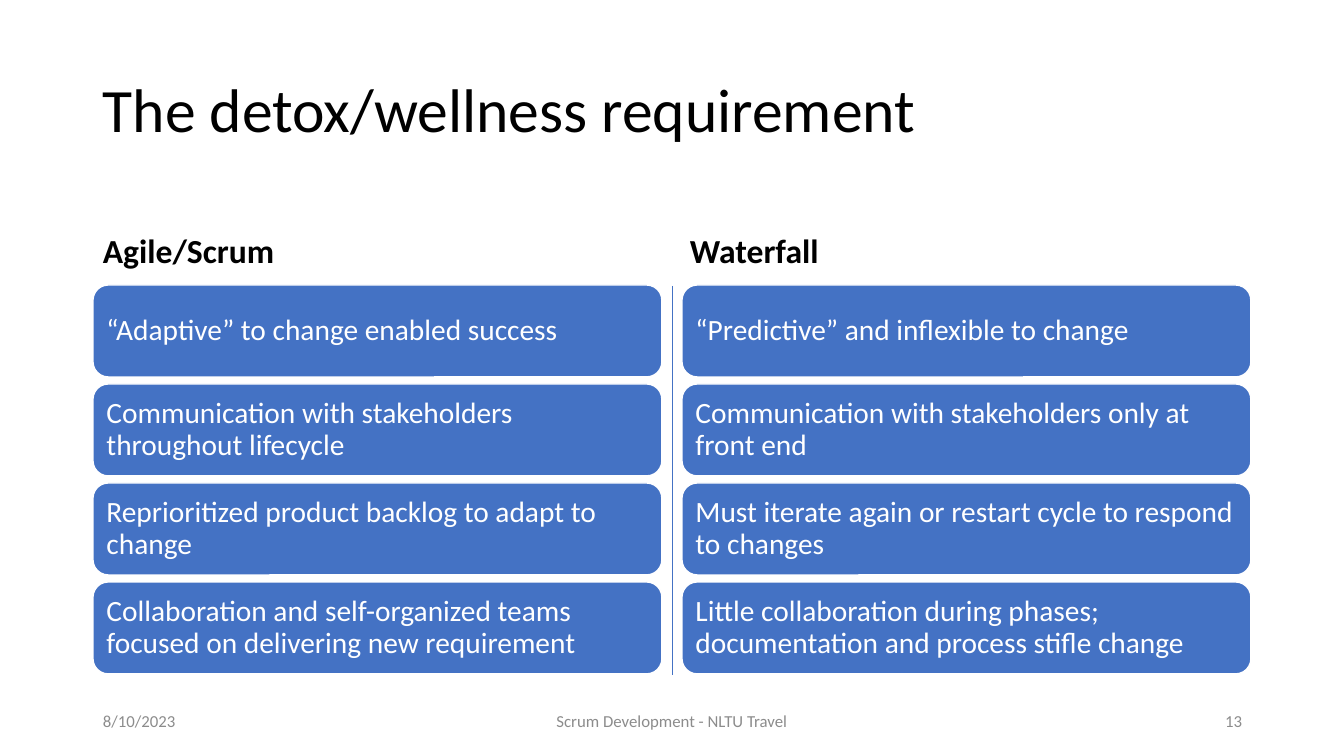
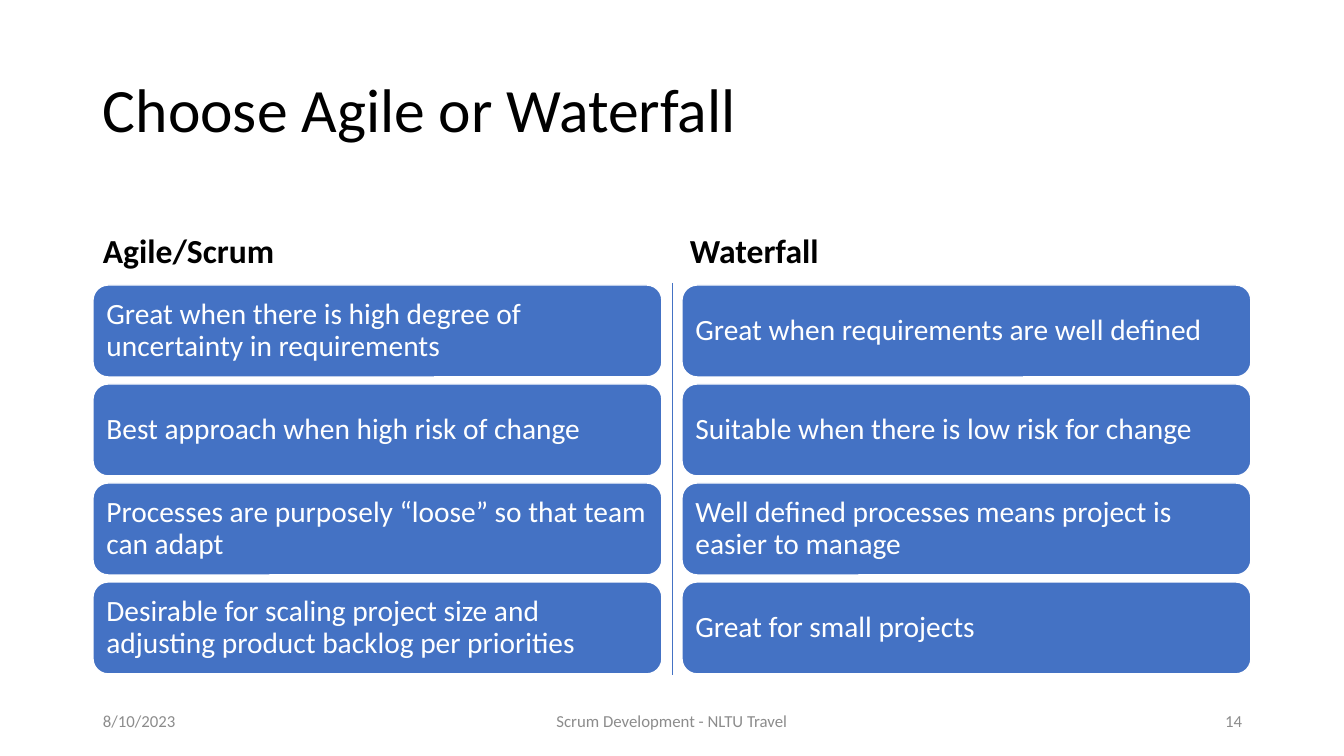
from pptx import Presentation
from pptx import util as u
from pptx.dml import color
from pptx.enum import shapes, text
from pptx.oxml import ns
from lxml import etree

SCALE = 914400 / 100.8
LEFT, RIGHT = 93, 1252
CARD_LEFTS = (LEFT, 682)
CARD_TOP, CARD_WIDTH, CARD_HEIGHT, CARD_PITCH = 285, 569, 92, 99
HEADINGS = (("Agile/Scrum", LEFT, 569), ("Waterfall", 680, 572))
FOOTER_TOP, FOOTER_HEIGHT = 701, 40
DATE = "8/10/2023"
FOOTER = "Scrum Development - NLTU Travel"


def px(value):
    return u.Emu(round(value * SCALE))


def rgb(code):
    return color.RGBColor.from_string(code)


def write(shape, words, size, ink, bold=False, align="LEFT", anchor="MIDDLE",
          spacing=1.0, before=0, inset=None):
    frame = shape.text_frame
    frame.word_wrap = True
    frame.vertical_anchor = text.MSO_ANCHOR[anchor]
    if inset is not None:
        frame.margin_left = frame.margin_right = px(inset)
        frame.margin_top = frame.margin_bottom = px(inset)
    para = frame.paragraphs[0]
    para.alignment = text.PP_ALIGN[align]
    para.line_spacing = spacing
    para.space_before = u.Pt(before)
    span = para.add_run()
    span.text = words
    span.font.name = "Calibri"
    span.font.size = u.Pt(size)
    span.font.bold = bold
    span.font.color.rgb = rgb(ink)


class Comparison:
    accent, ink, paper, muted = "4472C4", "000000", "FFFFFF", "8C8C8C"

    def __init__(self, deck):
        self.deck = deck
        self.page = None

    def start(self, title, number):
        self.page = self.deck.slides.add_slide(self.deck.slide_layouts[6])
        self.label(LEFT, 40, RIGHT - LEFT, 146, title, size=44, ink=self.ink, spacing=0.9)
        for words, left, width in HEADINGS:
            self.label(left, 185, width, 91, words, size=24, ink=self.ink, bold=True,
                       anchor="BOTTOM", spacing=0.9, before=10)
        for words, left, width, align in ((DATE, LEFT, 302, "LEFT"),
                                          (FOOTER, 445, 454, "CENTER"),
                                          (str(number), 950, 302, "RIGHT")):
            self.label(left, FOOTER_TOP, width, FOOTER_HEIGHT, words, size=12,
                       ink=self.muted, align=align)

    def label(self, left, top, width, height, words, **style):
        box = self.page.shapes.add_textbox(px(left), px(top), px(width), px(height))
        write(box, words, **style)

    def card(self, left, top, words):
        card = self.page.shapes.add_shape(
            shapes.MSO_SHAPE.ROUNDED_RECTANGLE,
            px(left), px(top), px(CARD_WIDTH), px(CARD_HEIGHT))
        card.shadow.inherit = False
        card.fill.solid()
        card.fill.fore_color.rgb = rgb(self.accent)
        card.line.color.rgb = rgb(self.paper)
        card.line.width = u.Pt(1)
        write(card, words, size=21, ink=self.paper, spacing=0.9, inset=9)

    def column(self, left, points):
        for row, words in enumerate(points):
            self.card(left, CARD_TOP + row * CARD_PITCH, words)

    def divider(self, top):
        line = self.page.shapes.add_connector(
            shapes.MSO_CONNECTOR.STRAIGHT, px(672), px(top), px(672), px(675))
        line.line.color.rgb = rgb(self.accent)
        line.line.width = u.Pt(0.5)
        etree.SubElement(line._element.spPr, ns.qn("a:effectLst"))


SLIDES = (
    ("The detox/wellness requirement", 286, (
        ("“Adaptive” to change enabled success",
         "Communication with stakeholders throughout lifecycle",
         "Reprioritized product backlog to adapt to change",
         "Collaboration and self-organized teams focused on delivering new requirement"),
        ("“Predictive” and inflexible to change",
         "Communication with stakeholders only at front end",
         "Must iterate again or restart cycle to respond to changes",
         "Little collaboration during phases; documentation and process stifle change"))),
    ("Choose Agile or Waterfall", 283, (
        ("Great when there is high degree of uncertainty in requirements",
         "Best approach when high risk of change",
         "Processes are purposely “loose” so that team can adapt",
         "Desirable for scaling project size and adjusting product backlog per priorities"),
        ("Great when requirements are well defined",
         "Suitable when there is low risk for change",
         "Well defined processes means project is easier to manage",
         "Great for small projects"))),
)

deck = Presentation()
deck.slide_width, deck.slide_height = px(1344), px(756)
comparison = Comparison(deck)
for number, (title, divider_top, columns) in enumerate(SLIDES, start=13):
    comparison.start(title, number)
    for left, points in zip(CARD_LEFTS, columns):
        comparison.column(left, points)
    comparison.divider(divider_top)
deck.save("out.pptx")
